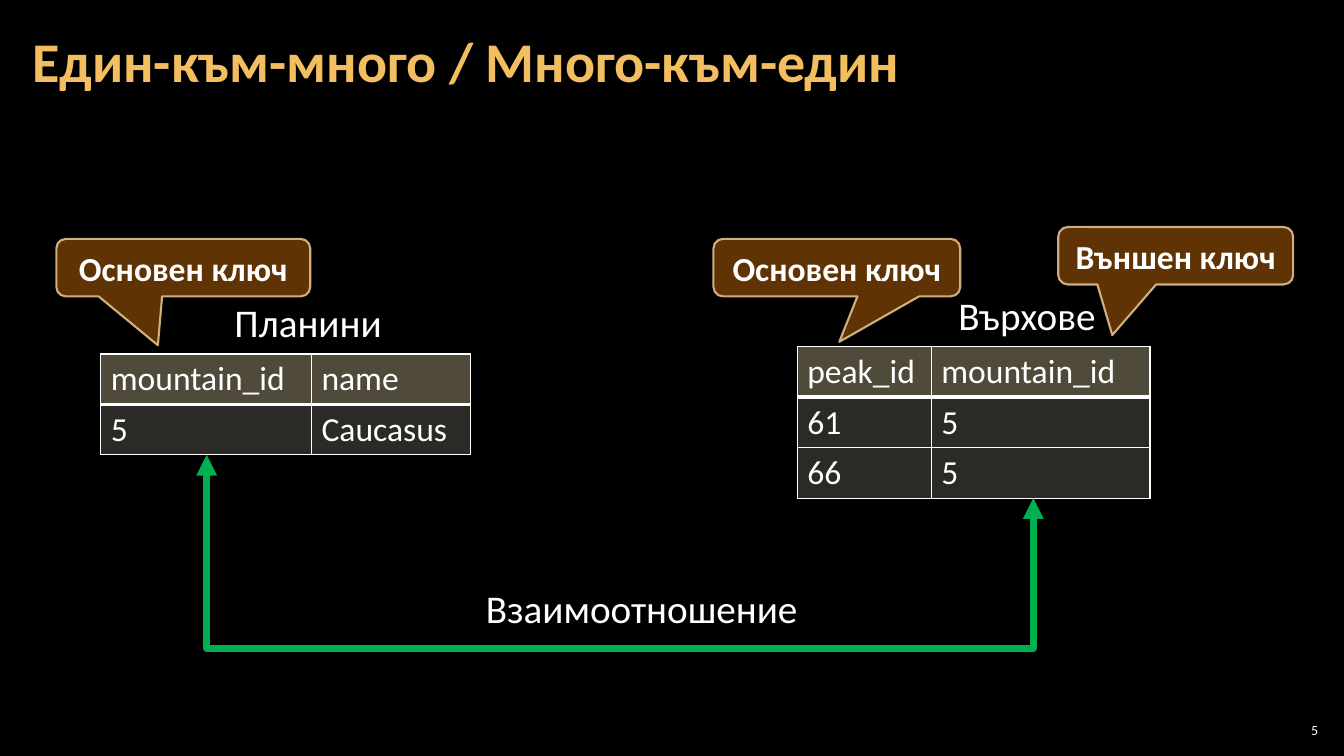
from lxml.etree import SubElement
from pptx import Presentation
from pptx.dml.color import RGBColor
from pptx.enum.shapes import MSO_CONNECTOR, MSO_SHAPE
from pptx.enum.text import MSO_ANCHOR, MSO_AUTO_SIZE, PP_ALIGN
from pptx.oxml.ns import qn
from pptx.util import Cm, Pt

FONT, WHITE, GREEN = "Calibri", "FFFFFF", "00B050"
TITLE = "Един-към-много / Много-към-един"
TABLES = [
    (2.54, 8.92, (5.31, 4.0), [("mountain_id", "name"), ("5", "Caucasus")]),
    (20.09, 8.74, (3.38, 5.51),
     [("peak_id", "mountain_id"), ("61", "5"), ("66", "5")]),
]
LABELS = [
    ("Планини", 5.66, 7.39, 4.27, False, PP_ALIGN.LEFT),
    ("Върхове", 23.9, 7.21, 4.01, False, PP_ALIGN.LEFT),
    ("Взаимоотношение", 9.91, 14.6, 12.52, True, PP_ALIGN.CENTER),
]
CALLOUTS = [
    ("Основен ключ", 1.42, 6.02, 6.4, (-0.1, 1.35)),
    ("Основен ключ", 17.98, 6.02, 6.22, (0.01, 1.29)),
    ("Външен ключ", 26.67, 5.72, 5.92, (-0.27, 1.38)),
]
LEFT_TIP, RIGHT_TIP, LINK_BOTTOM = (5.21, 11.46), (26.04, 12.55), 16.33
ROW_H, LABEL_H = 1.27, 1.45


def rgb(code):
    return RGBColor.from_string(code)


def set_alpha(el, percent):
    for clr in el.iter(qn("a:srgbClr")):
        SubElement(clr, qn("a:alpha"), val=str(percent * 1000))


def write(tf, text, size, color=WHITE, bold=False, align=PP_ALIGN.LEFT):
    tf.text = text
    p = tf.paragraphs[0]
    p.alignment = align
    font = p.runs[0].font
    font.name, font.size, font.bold = FONT, Pt(size), bold
    font.color.rgb = rgb(color)
    return p


def add_text(slide, box, text, size, inset=None, **style):
    tf = slide.shapes.add_textbox(*map(Cm, box)).text_frame
    tf.word_wrap = True
    if inset:
        tf.vertical_anchor = MSO_ANCHOR.MIDDLE
        tf.margin_left = tf.margin_right = Cm(inset)
        tf.margin_top = tf.margin_bottom = Cm(0.1)
    return tf, write(tf, text, size, **style)


def set_borders(cell, bottom):
    pr = cell._tc.get_or_add_tcPr()
    for i, (side, width) in enumerate(zip("LRTB", (1, 1, 1, bottom))):
        ln = SubElement(pr, qn(f"a:ln{side}"), w=str(Pt(width)))
        fill = SubElement(ln, qn("a:solidFill"))
        SubElement(fill, qn("a:srgbClr"), val=WHITE)
        pr.insert(i, ln)


def add_grid(slide, left, top, widths, rows):
    box = left, top, sum(widths), ROW_H * len(rows)
    table = slide.shapes.add_table(len(rows), len(widths), *map(Cm, box)).table
    table.first_row = table.horz_banding = False
    for col, width in zip(table.columns, widths):
        col.width = Cm(width)
    for i, values in enumerate(rows):
        table.rows[i].height = Cm(ROW_H)
        color, percent, bottom = ("D9D5C7", 20, 1) if i else ("A19574", 50, 3)
        for j, value in enumerate(values):
            cell = table.cell(i, j)
            write(cell.text_frame, value, 24)
            cell.fill.solid()
            cell.fill.fore_color.rgb = rgb(color)
            set_alpha(cell._tc.tcPr, percent)
            set_borders(cell, bottom)


def add_callout(slide, text, left, top, width, tip):
    box = map(Cm, (left, top, width, LABEL_H))
    sp = slide.shapes.add_shape(MSO_SHAPE.ROUNDED_RECTANGULAR_CALLOUT, *box)
    sp.shadow.inherit = False
    sp.adjustments[0], sp.adjustments[1] = tip
    sp.fill.solid()
    sp.fill.fore_color.rgb = rgb("663606")
    set_alpha(sp._element.spPr, 95)
    sp.line.color.rgb = rgb("F8D49E")
    sp.line.width = Pt(1.5)
    set_alpha(sp._element.spPr.find(qn("a:ln")), 80)
    sp.text_frame.word_wrap = True
    sp.text_frame.vertical_anchor = MSO_ANCHOR.MIDDLE
    write(sp.text_frame, text, 24, bold=True, align=PP_ALIGN.CENTER)


def add_link(slide):
    (x1, y1), (x2, y2) = LEFT_TIP, RIGHT_TIP
    cx, cy, half_w, half_h = (x1 + x2) / 2, (y1 + y2) / 2, (y2 - y1) / 2, (x2 - x1) / 2
    ends = cx + half_w, cy - half_h, cx - half_w, cy + half_h
    link = slide.shapes.add_connector(MSO_CONNECTOR.ELBOW, *map(Cm, ends))
    link.line.color.rgb = rgb(GREEN)
    link.line.width = Pt(5)
    pr = link._element.spPr
    pr.find(qn("a:xfrm")).set("rot", str(270 * 60000))
    bend = round((LINK_BOTTOM - y1) / (y2 - y1) * 100000)
    guides = pr.find(qn("a:prstGeom")).find(qn("a:avLst"))
    SubElement(guides, qn("a:gd"), name="adj1", fmla=f"val {bend}")
    for end in ("a:headEnd", "a:tailEnd"):
        SubElement(pr.find(qn("a:ln")), qn(end), type="triangle")
    SubElement(pr, qn("a:effectLst"))


def main():
    """Build the slide on one-to-many relationships."""
    prs = Presentation()
    prs.slide_width, prs.slide_height = Cm(33.87), Cm(19.05)
    slide = prs.slides.add_slide(prs.slide_layouts[6])
    slide.background.fill.solid()
    slide.background.fill.fore_color.rgb = rgb("000000")
    _, p = add_text(slide, (0.53, 0.1, 26.59, 3.07), TITLE, 40, inset=0.3,
                    color="F3BE60", bold=True)
    p.line_spacing = 0.9
    for grid in TABLES:
        add_grid(slide, *grid)
    for callout in CALLOUTS:
        add_callout(slide, *callout)
    add_link(slide)
    for text, left, top, width, wrap, align in LABELS:
        tf, _ = add_text(slide, (left, top, width, LABEL_H), text, 28, align=align)
        tf.word_wrap = wrap
        tf.auto_size = MSO_AUTO_SIZE.SHAPE_TO_FIT_TEXT
    add_text(slide, (32.13, 18.14, 1.19, 0.53), "5", 10, inset=0.1,
             align=PP_ALIGN.RIGHT)
    prs.save("out.pptx")


if __name__ == "__main__":
    main()
